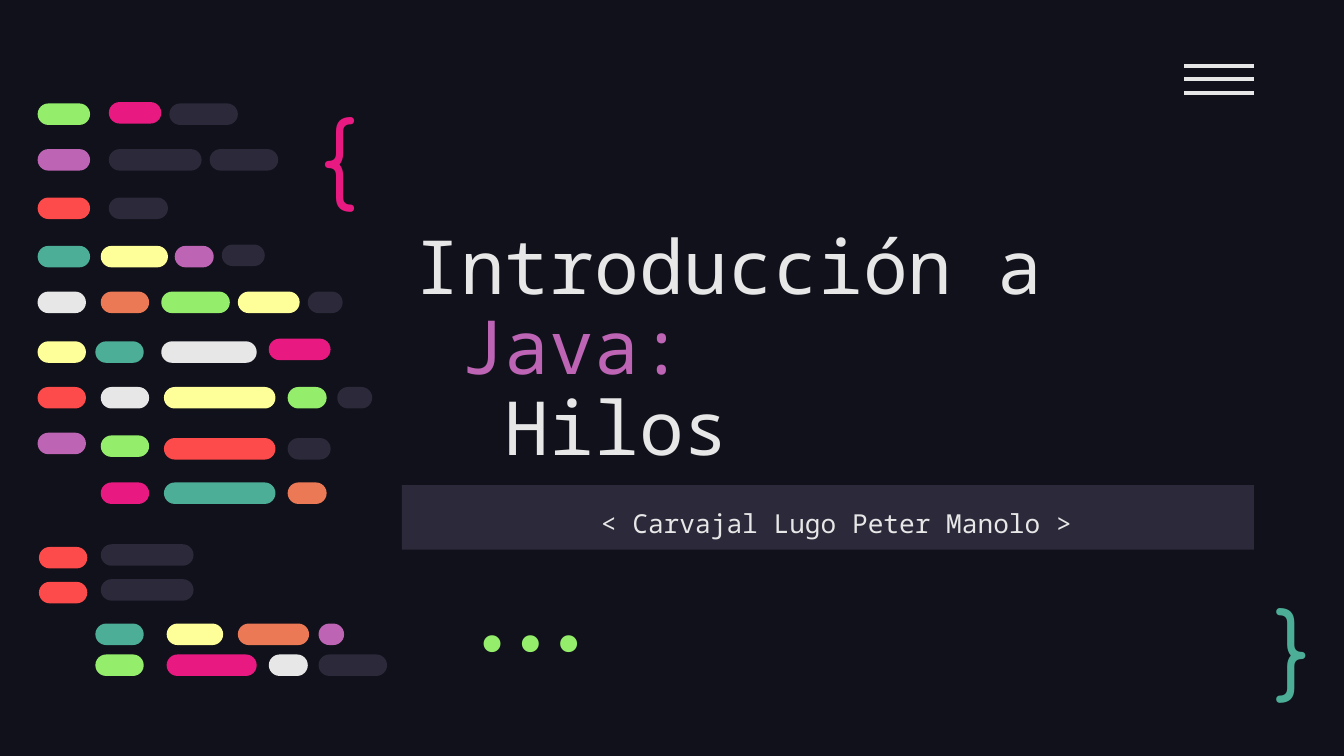
"""Build the title slide of a talk on Java threads, decorated as a code editor."""
from lxml import etree
from pptx import Presentation
from pptx.dml.color import RGBColor
from pptx.enum.shapes import MSO_CONNECTOR, MSO_SHAPE
from pptx.enum.text import MSO_ANCHOR, MSO_AUTO_SIZE, PP_ALIGN
from pptx.oxml.ns import qn
from pptx.util import Inches, Pt

RECTANGLE, PILL = MSO_SHAPE.RECTANGLE, MSO_SHAPE.ROUNDED_RECTANGLE
STRAIGHT = MSO_CONNECTOR.STRAIGHT
TOP, MIDDLE, BOTTOM = MSO_ANCHOR.TOP, MSO_ANCHOR.MIDDLE, MSO_ANCHOR.BOTTOM
LEFT, CENTER, RIGHT = PP_ALIGN.LEFT, PP_ALIGN.CENTER, PP_ALIGN.RIGHT
NO_AUTOFIT = MSO_AUTO_SIZE.NONE

NIGHT = RGBColor(0x10, 0x11, 0x1A)
SLATE = RGBColor(0x2C, 0x29, 0x3A)
WHITE = RGBColor(0xE7, 0xE7, 0xE7)
PURPLE = RGBColor(0xBD, 0x64, 0xB5)
PINK = RGBColor(0xE8, 0x1A, 0x81)
TEAL = RGBColor(0x4C, 0xAE, 0x97)
GREEN = RGBColor(0x94, 0xEE, 0x6B)
RED = RGBColor(0xFD, 0x4A, 0x4A)
YELLOW = RGBColor(0xFF, 0xFF, 0x99)
ORANGE = RGBColor(0xEC, 0x79, 0x55)

MONO, ROUNDED, CODE = "Noto Sans Mono", "Comfortaa", "Fira Code"
SLIDE_WIDTH = Inches(10)
SLIDE_HEIGHT = SLIDE_WIDTH * 9 // 16
TOKEN_HEIGHT = 0.16

CODE_LINES = {
    0.76: [(0.81, 0.39, PINK)],
    0.77: [(0.28, 0.39, GREEN), (1.26, 0.51, SLATE)],
    1.11: [(0.28, 0.39, PURPLE), (0.81, 0.69, SLATE), (1.56, 0.51, SLATE)],
    1.47: [(0.28, 0.39, RED), (0.81, 0.44, SLATE)],
    1.82: [(1.65, 0.32, SLATE)],
    1.83: [(0.28, 0.39, TEAL), (0.75, 0.5, YELLOW), (1.3, 0.29, PURPLE)],
    2.17: [(0.28, 0.36, WHITE), (0.75, 0.36, ORANGE), (1.2, 0.51, GREEN),
           (1.77, 0.46, YELLOW), (2.29, 0.26, SLATE)],
    2.52: [(2, 0.46, PINK)],
    2.54: [(0.28, 0.36, YELLOW), (0.71, 0.36, TEAL), (1.2, 0.71, WHITE)],
    2.88: [(0.28, 0.36, RED), (0.75, 0.36, WHITE), (1.22, 0.83, YELLOW),
           (2.14, 0.29, GREEN), (2.51, 0.26, SLATE)],
    3.22: [(0.28, 0.36, PURPLE)],
    3.24: [(0.75, 0.36, GREEN)],
    3.26: [(1.22, 0.83, RED), (2.14, 0.32, SLATE)],
    3.59: [(0.75, 0.36, PINK), (1.22, 0.83, TEAL), (2.14, 0.29, ORANGE)],
    4.05: [(0.75, 0.69, SLATE)],
    4.07: [(0.29, 0.36, RED)],
    4.31: [(0.75, 0.69, SLATE)],
    4.33: [(0.29, 0.36, RED)],
    4.64: [(0.71, 0.36, TEAL), (1.24, 0.42, YELLOW), (1.77, 0.53, ORANGE),
           (2.37, 0.19, PURPLE)],
    4.87: [(0.71, 0.36, GREEN), (1.24, 0.67, PINK), (2, 0.29, WHITE),
           (2.37, 0.51, SLATE)],
}

GLYPHS = [
    ("{", (2.29, 0.62, 0.77, 0.95), ROUNDED, PINK, TOP, LEFT),
    ("}", (9.39, 4.38, 0.57, 0.83), ROUNDED, TEAL, MIDDLE, LEFT),
    ("...", (3.11, 4.49, 1.58, 0.6), CODE, GREEN, BOTTOM, RIGHT),
]


def set_all(target, values):
    """Set each named attribute of the target."""
    for name, value in values.items():
        setattr(target, name, value)


def format_frame(frame, anchor):
    """Give a text frame its margins, wrapping and anchor."""
    margin = Inches(0.1)
    set_all(frame, {"margin_left": margin, "margin_top": margin,
                    "margin_right": margin, "margin_bottom": margin,
                    "word_wrap": True, "auto_size": NO_AUTOFIT,
                    "vertical_anchor": anchor})


def add_run(paragraph, text, font, size, color):
    """Append a formatted run to a paragraph."""
    run = paragraph.add_run()
    run.text = text
    set_all(run.font, {"name": font, "size": Pt(size)})
    run.font.color.rgb = color


def fill_title(title):
    """Place the title and write its three stepped lines."""
    set_all(title, {"left": Inches(2.99), "top": Inches(1.38),
                    "width": Inches(6.34), "height": Inches(2.23)})
    frame = title.text_frame
    format_frame(frame, BOTTOM)
    lines = [("Introducción a", WHITE), (" Java:", PURPLE), ("  Hilos", WHITE)]
    for index, (text, color) in enumerate(lines):
        line = frame.add_paragraph() if index else frame.paragraphs[0]
        set_all(line, {"alignment": LEFT, "line_spacing": 0.9})
        add_run(line, text, MONO, 40, color)


def add_solid(shapes, preset, box, color):
    """Add a flat borderless shape."""
    solid = shapes.add_shape(preset, *map(Inches, box))
    solid.shadow.inherit = False
    solid.fill.solid()
    solid.fill.fore_color.rgb = color
    solid.line.fill.background()
    return solid


def add_author(shapes):
    """Add the bar that names the author."""
    frame = add_solid(shapes, RECTANGLE, (2.99, 3.61, 6.34, 0.48), SLATE).text_frame
    format_frame(frame, TOP)
    author = frame.paragraphs[0]
    set_all(author, {"alignment": CENTER, "line_spacing": 1.15})
    add_run(author, " ", MONO, 16, WHITE)
    add_run(author, "< Carvajal Lugo Peter Manolo >", MONO, 14, WHITE)


def add_glyph(shapes, text, box, font, color, anchor, alignment):
    """Add a large decorative symbol."""
    frame = shapes.add_textbox(*map(Inches, box)).text_frame
    format_frame(frame, anchor)
    symbol = frame.paragraphs[0]
    symbol.alignment = alignment
    add_run(symbol, text, font, 50, color)


def add_menu(shapes):
    """Add the menu icon of three evenly spaced bars."""
    menu = shapes.add_group_shape().shapes
    for index in range(3):
        height = Inches(0.49 + 0.1 * index)
        bar = menu.add_connector(STRAIGHT, Inches(8.81), height, Inches(9.33), height)
        bar.line.color.rgb = WHITE
        bar.line.width = Pt(2.25)
        etree.SubElement(bar._element.spPr, qn("a:effectLst"))


def add_code(shapes):
    """Add the lines of coloured code tokens."""
    code = shapes.add_group_shape().shapes
    for top, tokens in CODE_LINES.items():
        for left, width, color in tokens:
            token = add_solid(code, PILL, (left, top, width, TOKEN_HEIGHT), color)
            token.adjustments[0] = 0.5


def main():
    """Build and save the slide."""
    deck = Presentation()
    set_all(deck, {"slide_width": SLIDE_WIDTH, "slide_height": SLIDE_HEIGHT})
    slide = deck.slides.add_slide(deck.slide_layouts[5])
    slide.background.fill.solid()
    slide.background.fill.fore_color.rgb = NIGHT
    fill_title(slide.shapes.title)
    add_author(slide.shapes)
    for glyph in GLYPHS:
        add_glyph(slide.shapes, *glyph)
    add_menu(slide.shapes)
    add_code(slide.shapes)
    deck.save("out.pptx")


if __name__ == "__main__":
    main()
